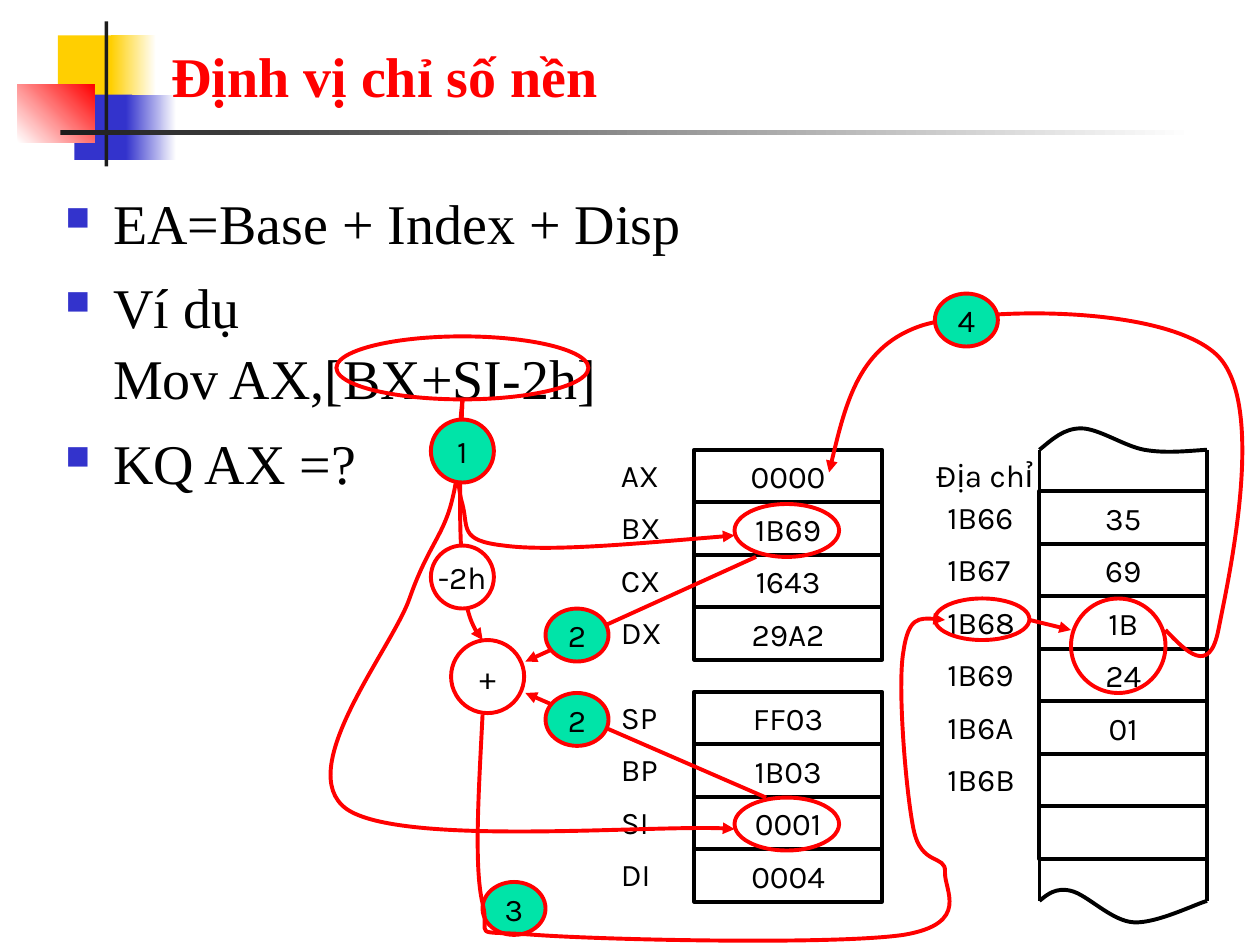
from lxml import etree
from pptx import Presentation
from pptx.dml.color import RGBColor
from pptx.enum.shapes import MSO_CONNECTOR, MSO_SHAPE
from pptx.enum.text import MSO_ANCHOR, PP_ALIGN
from pptx.oxml.ns import qn
from pptx.util import Inches, Pt

RECTANGLE, OVAL = MSO_SHAPE.RECTANGLE, MSO_SHAPE.OVAL
STRAIGHT = MSO_CONNECTOR.STRAIGHT
MIDDLE, BOTTOM = MSO_ANCHOR.MIDDLE, MSO_ANCHOR.BOTTOM
LEFT, CENTER = PP_ALIGN.LEFT, PP_ALIGN.CENTER

BLACK = RGBColor(0, 0, 0)
WHITE = RGBColor(255, 255, 255)
RED = RGBColor(255, 0, 0)
GREEN = RGBColor(0x00, 0xE4, 0xA8)
YELLOW = RGBColor(0xFF, 0xCF, 0x01)
BLUE = RGBColor(0x33, 0x33, 0xCC)
CHARCOAL = RGBColor(0x1C, 0x1C, 0x1C)
SERIF, SANS = "Times New Roman", "Karla"

TITLE = "Định vị chỉ số nền"
BULLETS = ["EA=Base + Index + Disp", "Ví dụ\vMov AX,[BX+SI-2h]", "KQ AX =?"]

# Header decoration: box, colour at the start, colour at the end, angle
DECORATION = [
    ((0.46, 0.28, 0.48, 0.52), YELLOW, None, 0),
    ((0.88, 0.28, 0.36, 0.52), YELLOW, WHITE, 0),
    ((0.59, 0.75, 0.46, 0.52), BLUE, None, 0),
    ((1.0, 0.75, 0.4, 0.52), BLUE, WHITE, 0),
    ((0.14, 0.67, 0.61, 0.46), WHITE, RED, 45),
    ((0.83, 0.17, 0.03, 1.15), CHARCOAL, None, 0),
    ((0.48, 1.03, 9, 0.04), CHARCOAL, WHITE, 0),
]

# Cell stacks: label left, label width, cell left, cell width, top, rows
ROW = 5 / 12
STACKS = [
    (4.83, 0.67, 5.51, 1.49, 3.57,
     [("AX", "0000"), ("BX", "1B69"), ("CX", "1643"), ("DX", "29A2")]),
    (4.83, 0.67, 5.51, 1.49, 5.49,
     [("SP", "FF03"), ("BP", "1B03"), ("SI", "0001"), ("DI", "0004")]),
    (7.42, 0.92, 8.25, 1.33, 3.9,
     [("1B66", "35"), ("1B67", "69"), ("1B68", "1B"), ("1B69", "24"),
      ("1B6A", "01"), ("1B6B", ""), ("", "")]),
]
ADDRESS_HEADING = ("Địa chỉ", 7.33, 3.57, 1.08)

# Torn ends of the memory column
MEMORY_LEFT, MEMORY_RIGHT = 8.25, 9.58
MEMORY_SIDES = [(3.57, 3.9), (6.82, 7.15)]
MEMORY_EDGES = [
    [(8.25, 3.57), (8.35, 3.49), (8.44, 3.4), (8.58, 3.4), (8.72, 3.4),
     (8.92, 3.54), (9.08, 3.57), (9.25, 3.6), (9.42, 3.58), (9.58, 3.57)],
    [(8.25, 7.15), (8.31, 7.1), (8.38, 7.04), (8.5, 7.07), (8.63, 7.1),
     (8.82, 7.31), (9, 7.32), (9.18, 7.33), (9.5, 7.17), (9.58, 7.15)],
]

# Steps from back to front: ovals (box, text, fill), curves and arrows (points)
STEPS = [
    ("oval", (3.58, 5.08, 0.58, 0.58), "+", None),
    ("oval", (3.83, 7, 0.5, 0.42), "3", GREEN),
    ("oval", (2.67, 2.67, 2, 0.5), "", None),
    ("oval", (5.83, 4, 0.83, 0.42), "", None),
    ("oval", (5.83, 6.33, 0.83, 0.42), "", None),
    ("oval", (8.5, 4.75, 0.75, 0.75), "", None),
    ("curve", [(3.67, 3.17), (3.65, 3.67), (3.64, 4.18), (3.67, 4.5),
               (3.69, 4.82), (3.75, 5), (3.83, 5.08)]),
    ("curve", [(3.67, 3.17), (3.64, 3.49), (3.61, 3.81), (3.67, 4),
               (3.72, 4.19), (3.64, 4.29), (4, 4.33),
               (4.36, 4.38), (5.1, 4.31), (5.83, 4.25)]),
    ("curve", [(3.67, 3.17), (3.66, 3.45), (3.65, 3.74), (3.58, 4),
               (3.51, 4.26), (3.39, 4.35), (3.25, 4.75),
               (3.11, 5.15), (2.32, 6.11), (2.75, 6.42),
               (3.18, 6.72), (5.33, 6.53), (5.83, 6.58)]),
    ("oval", (3.42, 3.33, 0.5, 0.5), "1", GREEN),
    ("oval", (3.42, 4.33, 0.5, 0.5), "-2h", WHITE),
    ("arrow", [(6, 4.42), (4.17, 5.25)]),
    ("arrow", [(6.08, 6.33), (4.17, 5.5)]),
    ("oval", (4.33, 4.83, 0.5, 0.42), "2", GREEN),
    ("oval", (4.33, 5.5, 0.5, 0.42), "2", GREEN),
    ("curve", [(3.83, 5.67), (3.8, 6.27), (3.76, 6.88), (3.83, 7.17),
               (3.9, 7.46), (3.69, 7.38), (4.25, 7.42),
               (4.81, 7.46), (6.62, 7.5), (7.17, 7.42),
               (7.71, 7.33), (7.49, 7.06), (7.5, 6.92),
               (7.51, 6.78), (7.31, 6.88), (7.25, 6.58),
               (7.19, 6.29), (7.12, 5.44), (7.17, 5.17),
               (7.21, 4.89), (7.35, 4.9), (7.5, 4.92)]),
    ("oval", (7.42, 4.75, 0.75, 0.33), "", None),
    ("arrow", [(8.17, 4.92), (8.5, 5)]),
    ("curve", [(9.25, 5), (9.42, 5.18), (9.6, 5.36), (9.67, 5),
               (9.74, 4.64), (10.06, 3.24), (9.67, 2.83),
               (9.28, 2.43), (7.85, 2.43), (7.33, 2.58),
               (6.82, 2.74), (6.7, 3.24), (6.58, 3.75)]),
    ("oval", (7.42, 2.33, 0.5, 0.42), "4", GREEN),
]


def set_font(paragraph, name, size, color, bold=False):
    font = paragraph.font
    font.name, font.size, font.bold = name, Pt(size), bold
    font.color.rgb = color


def set_line(shape, color, arrow=False):
    shape.line.color.rgb = color
    shape.line.width = Pt(2.25)
    if arrow:
        line = shape.line._get_or_add_ln()
        etree.SubElement(line, qn("a:tailEnd"), type="triangle")


def add_shape(slide, kind, box, text="", fill=None, line=None):
    shape = slide.shapes.add_shape(kind, *map(Inches, box))
    shape.shadow.inherit = False
    if fill is None:
        shape.fill.background()
    else:
        shape.fill.solid()
        shape.fill.fore_color.rgb = fill
    if line is None:
        shape.line.fill.background()
    else:
        set_line(shape, line)
    if text:
        frame = shape.text_frame
        frame.word_wrap, frame.vertical_anchor = False, MIDDLE
        paragraph = frame.paragraphs[0]
        paragraph.text, paragraph.alignment = text, CENTER
        set_font(paragraph, SANS, 18, BLACK)
    return shape


def add_label(slide, text, left, top, width):
    label = slide.shapes.add_textbox(*map(Inches, (left, top, width, 0.4)))
    label.text_frame.word_wrap = True
    label.text_frame.text = text
    set_font(label.text_frame.paragraphs[0], SANS, 18, BLACK)


def add_straight(slide, start, end, color, arrow=False):
    connector = slide.shapes.add_connector(STRAIGHT, *map(Inches, (*start, *end)))
    set_line(connector, color, arrow)
    etree.SubElement(connector.element.spPr, qn("a:effectLst"))


def add_curve(slide, points, color, arrow=False):
    """Draw a Bézier line: a start, then two controls and an end per piece."""
    start, *rest = [(Inches(x), Inches(y)) for x, y in points]
    builder = slide.shapes.build_freeform(*start)
    builder.add_line_segments(rest, close=False)
    shape = builder.convert_to_shape()
    shape.shadow.inherit = False
    shape.fill.background()
    set_line(shape, color, arrow)
    outline = shape.element.find(".//" + qn("a:path"))
    segments = outline.findall(qn("a:lnTo"))
    for index in range(0, len(segments), 3):
        curve = etree.SubElement(outline, qn("a:cubicBezTo"))
        for segment in segments[index:index + 3]:
            curve.append(segment[0])
            outline.remove(segment)


def add_bullet(paragraph):
    properties = paragraph._p.get_or_add_pPr()
    properties.set("marL", str(Inches(0.38)))
    properties.set("indent", str(-Inches(0.38)))
    color = etree.SubElement(properties, qn("a:buClr"))
    etree.SubElement(color, qn("a:srgbClr"), val=str(BLUE))
    etree.SubElement(properties, qn("a:buSzPct"), val="60000")
    etree.SubElement(properties, qn("a:buChar"), char="■")


def main():
    presentation = Presentation()
    presentation.slide_width, presentation.slide_height = Inches(10), Inches(7.5)
    slide = presentation.slides.add_slide(presentation.slide_layouts[5])

    # Header decoration
    for box, first, last, angle in DECORATION:
        shape = add_shape(slide, RECTANGLE, box, fill=first)
        if last is not None:
            shape.fill.gradient()
            shape.fill.gradient_angle = angle
            for stop, color in zip(shape.fill.gradient_stops, (first, last)):
                stop.color.rgb = color

    # Title, in front of the decoration
    title = slide.shapes.title
    title.left, title.top, title.width, title.height = map(Inches, (1.26, 0.23, 8.52, 0.68))
    title.text_frame.text = TITLE
    title.text_frame.vertical_anchor = BOTTOM
    title.text_frame.paragraphs[0].alignment = LEFT
    set_font(title.text_frame.paragraphs[0], SERIF, 32, RED, bold=True)
    title.element.getparent().append(title.element)

    # Bullets
    body = slide.shapes.add_textbox(*map(Inches, (0.42, 1.42, 5.17, 5.29))).text_frame
    body.word_wrap = True
    body.text = "\n".join(BULLETS)
    for paragraph in body.paragraphs:
        paragraph.space_before, paragraph.line_spacing = Pt(8), 1.05
        set_font(paragraph, SERIF, 32, BLACK)
        add_bullet(paragraph)

    # Registers and memory
    for label_left, label_width, left, width, top, rows in STACKS:
        for index, (label, value) in enumerate(rows):
            row_top = top + index * ROW
            add_shape(slide, RECTANGLE, (left, row_top, width, ROW), value, line=BLACK)
            if label:
                add_label(slide, label, label_left, row_top, label_width)
    add_label(slide, *ADDRESS_HEADING)
    for top, bottom in MEMORY_SIDES:
        for x in (MEMORY_LEFT, MEMORY_RIGHT):
            add_straight(slide, (x, top), (x, bottom), BLACK)
    for points in MEMORY_EDGES:
        add_curve(slide, points, BLACK)

    # Numbered steps
    for kind, *details in STEPS:
        if kind == "oval":
            add_shape(slide, OVAL, *details, line=RED)
        elif kind == "curve":
            add_curve(slide, *details, RED, arrow=True)
        else:
            add_straight(slide, *details[0], RED, arrow=True)

    presentation.save("out.pptx")


if __name__ == "__main__":
    main()
